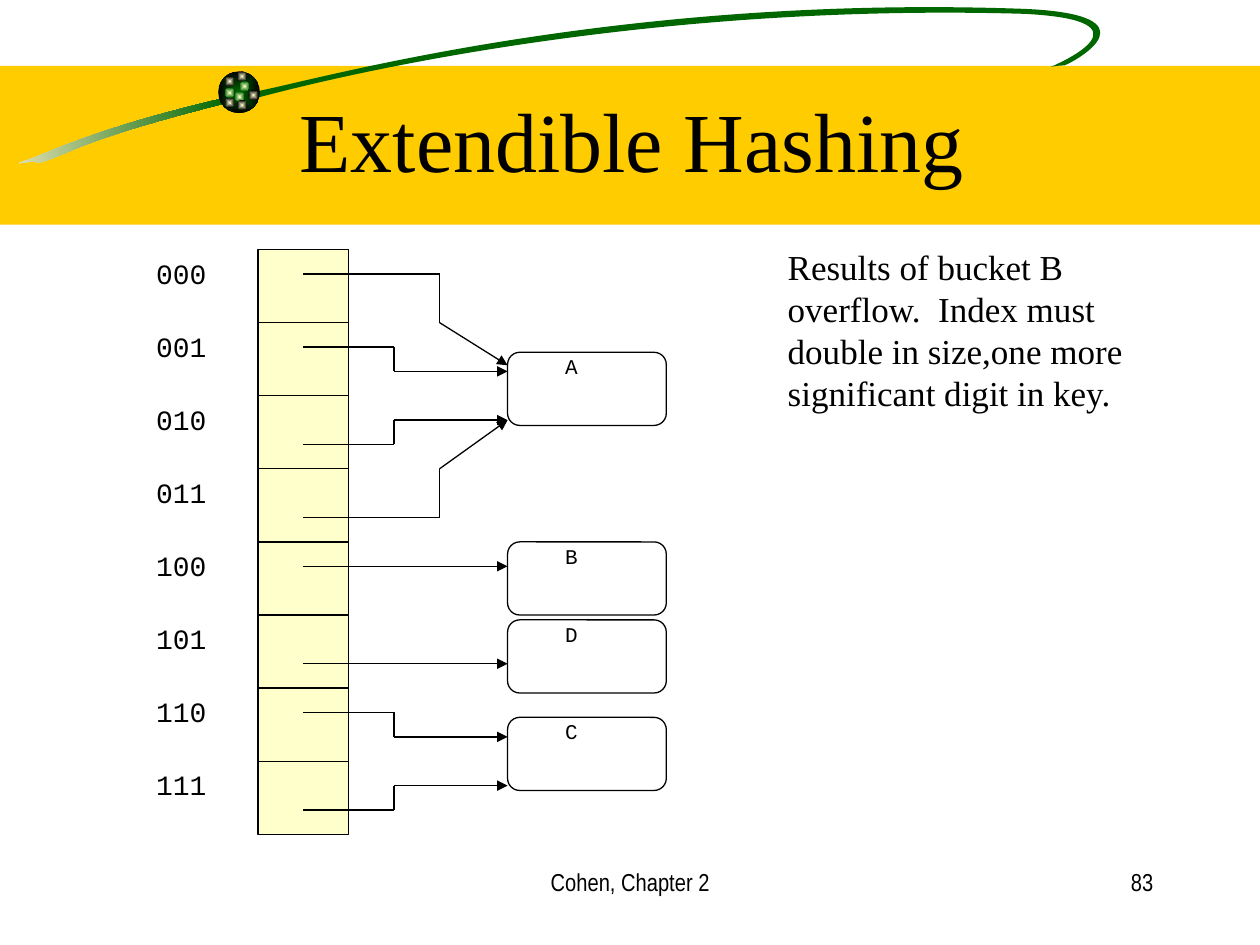
import math

import pptx
import pptx.dml.color
import pptx.enum.shapes
import pptx.enum.text
import pptx.oxml
import pptx.oxml.ns
import pptx.util

Cm = pptx.util.Cm
Pt = pptx.util.Pt
RGBColor = pptx.dml.color.RGBColor
MSO_SHAPE = pptx.enum.shapes.MSO_SHAPE
PP_ALIGN = pptx.enum.text.PP_ALIGN
qn = pptx.oxml.ns.qn
NS = pptx.oxml.ns.nsdecls("a")

BLACK = RGBColor(0x00, 0x00, 0x00)
WHITE = RGBColor(0xFF, 0xFF, 0xFF)
GOLD = RGBColor(0xFF, 0xCC, 0x00)
GREEN = RGBColor(0x00, 0x66, 0x00)
CREAM = RGBColor(0xF5, 0xEB, 0xC1)
PALE_YELLOW = RGBColor(0xFF, 0xFF, 0xCC)

SERIF, MONO, NARROW = "Times New Roman", "Courier New", "Arial Narrow"

SLOT_W, SLOT_H = 1.83, 11.79 / 8
THIRD = SLOT_H / 3

# Bucket tops, in thirds of a slot below the top of the index
BUCKETS = [("A", 4.22), ("B", 12), ("D", 15.2), ("C", 19.2)]

# Pointer corners: x in slot widths, y in thirds of a slot
POINTERS = [
    [(0.5, 17), (2.75, 17)],
    [(0.5, 13), (2.75, 13)],
    [(0.5, 1), (2, 1), (2, 3), (2.75, 4.75)],
    [(0.5, 11), (2, 11), (2, 9), (2.75, 7)],
    [(0.5, 4), (1.5, 4), (1.5, 5), (2.75, 5)],
    [(0.5, 8), (1.5, 8), (1.5, 7), (2.75, 7)],
    [(0.5, 19), (1.5, 19), (1.5, 20), (2.75, 20)],
    [(0.5, 23), (1.5, 23), (1.5, 22), (2.75, 22)],
]

# Each outline is a start point followed by cubic curves of three points
SWOOSH_TILT = -8.5
TAIL_BOX = (-0.08, 2.31, 4.67, 0.76)
TAIL = [(4.52, 1.98), (2.31, 2.49), (1.24, 2.95), (0.64, 3.2),
        (0.03, 3.4), (0.66, 3.2), (0.79, 3.28),
        (1.45, 3.1), (1.45, 2.87), (4.55, 2.08),
        (4.55, 2.08), (4.52, 1.98), (4.52, 1.98)]
LOOP_BOX = (5.11, -0.38, 18.19, 2.77)
LOOP = [(5.13, 1.85), (6.25, 1.65), (12.34, -0.13), (20.68, 0.18),
        (23.29, 0.3), (21.77, 1.19), (21.46, 1.32),
        (21.46, 1.32), (21.29, 1.32), (21.18, 1.35),
        (21.44, 1.24), (23.27, 0.41), (20.65, 0.28),
        (13.92, 0.08), (8.13, 1.19), (5.23, 1.96),
        (5.23, 1.96), (5.13, 1.85), (5.13, 1.85)]

# Sparkles on the ball: offset from its top left corner, outer colour
SPARKLES = [(0.43, 0.2, GREEN), (0.13, 0.1, BLACK), (0.13, 0.33, GREEN),
            (0.33, 0.41, GREEN), (0.61, 0.38, BLACK), (0.38, 0.58, BLACK),
            (0.13, 0.53, BLACK), (0.38, 0, BLACK)]


def add_box(s, kind, x, y, w, h, fill=None, outlined=False):
    sp = s.shapes.add_shape(kind, Cm(x), Cm(y), Cm(w), Cm(h))
    sp.shadow.inherit = False
    if fill is None:
        sp.fill.background()
    else:
        sp.fill.solid()
        sp.fill.fore_color.rgb = fill
    if outlined:
        sp.line.color.rgb = BLACK
        sp.line.width = Pt(0.75)
    else:
        sp.line.fill.background()
    return sp


def add_text(s, text, x, y, w, h, font, size, align=PP_ALIGN.LEFT):
    tf = s.shapes.add_textbox(Cm(x), Cm(y), Cm(w), Cm(h)).text_frame
    tf.word_wrap = True
    p = tf.paragraphs[0]
    p.alignment = align
    r = p.add_run()
    r.text = text
    r.font.name = font
    r.font.size = Pt(size)
    r.font.color.rgb = BLACK


def set_gradient(sp, first, last):
    sp.fill.gradient()
    for stop, colour in zip(sp.fill.gradient_stops, (first, last)):
        stop.color.rgb = colour


def add_ball(s, x, y, size, inner, outer):
    """Draw a circle shaded outwards from its centre."""
    sp = add_box(s, MSO_SHAPE.OVAL, x, y, size, size, inner)
    set_gradient(sp, inner, outer)
    lin = sp.element.spPr.find(".//" + qn("a:lin"))
    lin.getparent().replace(lin, pptx.oxml.parse_xml(
        f'<a:path {NS} path="rect">'
        '<a:fillToRect l="50000" t="50000" r="50000" b="50000"/></a:path>'))


def add_swoosh(s, box, outline):
    """Draw a curved outline in a tilted box; points are slide positions."""
    x, y, w, h = box
    corners = [(x, y), (x + w, y), (x + w, y + h), (x, y + h)]
    corners = [(Cm(cx), Cm(cy)) for cx, cy in corners]
    builder = s.shapes.build_freeform(*corners[0])
    builder.add_line_segments(corners[1:], close=True)
    sp = builder.convert_to_shape()
    sp.shadow.inherit = False
    sp.fill.solid()
    sp.fill.fore_color.rgb = GREEN
    sp.line.fill.background()
    sp.rotation = SWOOSH_TILT % 360

    cos, sin = (f(math.radians(SWOOSH_TILT)) for f in (math.cos, math.sin))
    points = []
    for px, py in outline:
        dx, dy = px - x - w / 2, py - y - h / 2
        points.append(f'<a:pt x="{Cm(w / 2 + dx * cos + dy * sin):d}" '
                      f'y="{Cm(h / 2 - dx * sin + dy * cos):d}"/>')
    curves = "".join(
        f'<a:cubicBezTo>{"".join(points[i:i + 3])}</a:cubicBezTo>'
        for i in range(1, len(points), 3))
    rectangle = sp.element.spPr.find(".//" + qn("a:path"))
    rectangle.getparent().replace(rectangle, pptx.oxml.parse_xml(
        f'<a:path {NS} w="{Cm(w):d}" h="{Cm(h):d}">'
        f'<a:moveTo>{points[0]}</a:moveTo>{curves}<a:close/></a:path>'))
    return sp


def add_pointer(s, points):
    """Join the points by straight lines, with an arrowhead on the last."""
    for start, end in zip(points, points[1:]):
        line = s.shapes.add_connector(
            pptx.enum.shapes.MSO_CONNECTOR.STRAIGHT,
            *(Cm(v) for v in (*start, *end)))
        line.line.color.rgb = BLACK
        line.line.width = Pt(0.75)
        line.element.spPr.append(pptx.oxml.parse_xml(f'<a:effectLst {NS}/>'))
    line.element.spPr.find(qn("a:ln")).append(
        pptx.oxml.parse_xml(f'<a:tailEnd {NS} type="triangle"/>'))


def add_banner(s, x, y, w, h):
    add_box(s, MSO_SHAPE.RECTANGLE, x, y, w, h, GOLD)
    tail = add_swoosh(s, TAIL_BOX, TAIL)
    set_gradient(tail, CREAM, GREEN)
    tail.fill.gradient_angle = 0
    add_swoosh(s, LOOP_BOX, LOOP)
    ball_x, ball_y = x + 4.4, y + 0.11
    add_ball(s, ball_x, ball_y, 0.84, GREEN, BLACK)
    for dx, dy, outer in SPARKLES:
        add_ball(s, ball_x + dx, ball_y + dy, 0.2, PALE_YELLOW, outer)


def add_side_panel(s, x, y, w, h):
    panel = add_box(s, MSO_SHAPE.RECTANGLE, x, y, w, h, WHITE)
    panel.element.spPr.find(".//" + qn("a:srgbClr")).append(
        pptx.oxml.parse_xml(f'<a:alpha {NS} val="50000"/>'))


def add_index(s, x, y):
    for i in range(8):
        top = y + i * SLOT_H
        add_box(s, MSO_SHAPE.RECTANGLE, x, top, SLOT_W, SLOT_H,
                PALE_YELLOW, outlined=True)
        add_text(s, f"{i:03b}", x - 2.3, top + 0.01, 2.74, 0.94, MONO, 16)


def add_buckets(s, x, y):
    for name, row in BUCKETS:
        top = y + row * THIRD
        add_box(s, MSO_SHAPE.ROUNDED_RECTANGLE, x, top, 3.2, SLOT_H,
                outlined=True)
        add_text(s, name, x + 0.91, top - 0.1, SLOT_W, 0.76, MONO, 12)


def add_hash_diagram(s, x, y):
    add_index(s, x, y)
    add_buckets(s, x + 2.75 * SLOT_W, y)
    for corners in POINTERS:
        add_pointer(s, [(x + cx * SLOT_W, y + cy * THIRD)
                        for cx, cy in corners])


def add_footer(s, y, h):
    add_text(s, "Cohen, Chapter 2", 8.68, y, 8.05, h, NARROW, 14,
             PP_ALIGN.CENTER)
    add_text(s, "83", 18.22, y, 5.28, h, NARROW, 14, PP_ALIGN.RIGHT)


def main():
    prs = pptx.Presentation()
    prs.slide_width, prs.slide_height = Cm(25.4), Cm(19.05)
    s = prs.slides.add_slide(prs.slide_layouts[6])
    add_banner(s, 0, 1.33, 25.4, 3.2)
    add_side_panel(s, 1.88, 5.23, 3.1, 13.82)
    add_hash_diagram(s, 5.2, 5.03)
    add_text(s, "Extendible Hashing", 5.79, 1.66, 21.21, 2.29, SERIF, 48)
    add_text(s, "Results of bucket B overflow.  Index must double in size,"
             "one more significant digit in key.", 15.63, 4.83, 8.41, 3.66,
             SERIF, 20)
    add_footer(s, 17.35, 1.27)
    prs.save("out.pptx")


if __name__ == "__main__":
    main()
